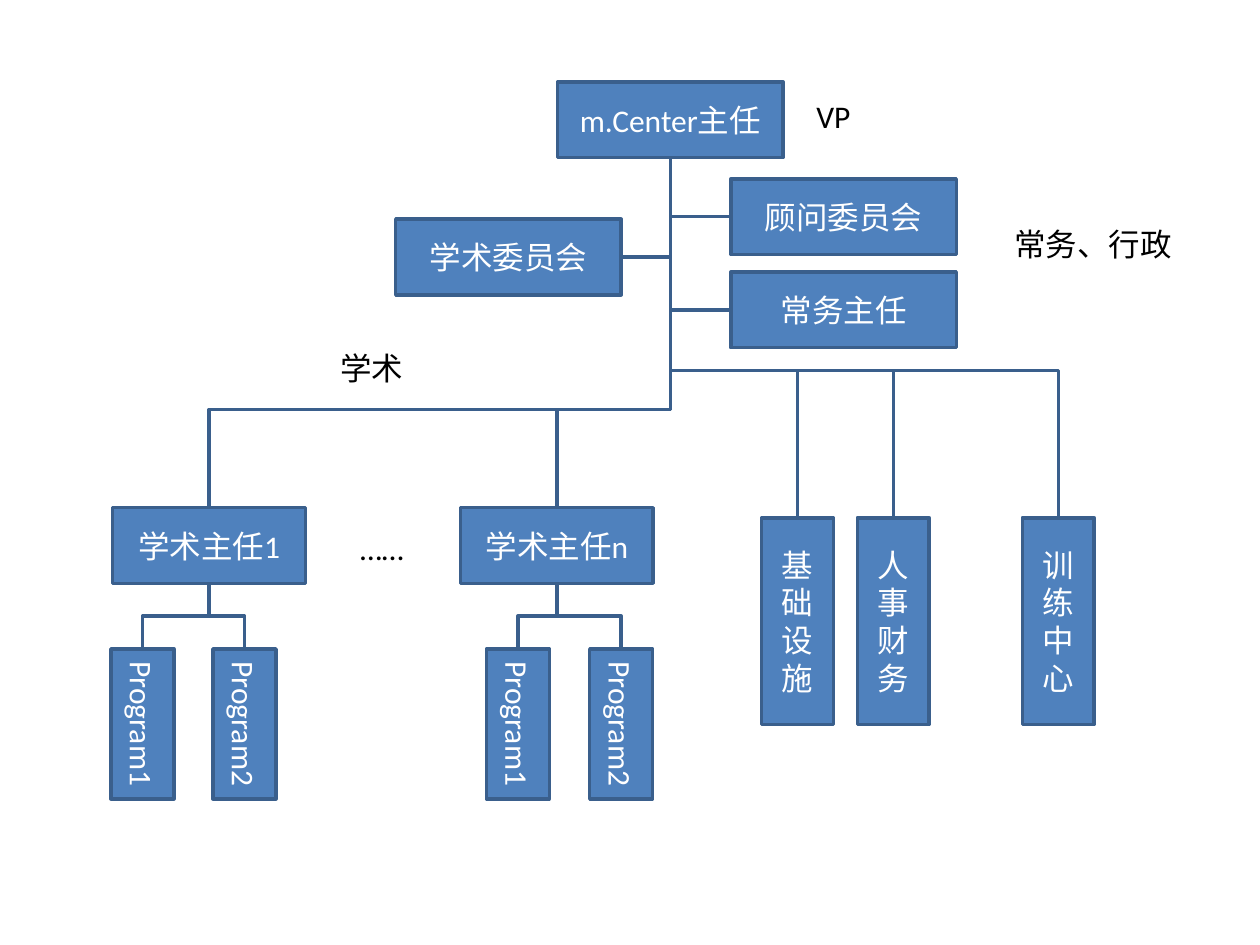
"""Build an organisation chart slide with boxes, labels and elbow connectors."""
import pptx
import pptx.util
import pptx.dml.color
import pptx.enum.shapes
import pptx.enum.text
import pptx.oxml.ns
import lxml.etree

FILL, LINE, WHITE, BLACK = "4F81BD", "3A5F8C", "FFFFFF", "000000"
LATIN, CJK = "Calibri", "Noto Sans CJK SC"
BOX_W, BOX_H, LEAD_W = 1.79, 0.6, 1.53
UNIT_W, UNIT_H, UNIT_TOP = 0.57, 1.64, 4.11
PROG_W, PROG_H, PROG_TOP = 1.19, 0.5, 5.15
TRUNK, TRUNK_TOP, LEAD_TOP = 5.32, 1.24, 4.03
ACADEMIC_BUS, OFFICE_BUS = 3.25, 2.94

HEAD = ("m.Center主任", 0.65)
STAFF = [("顾问委员会", 5.8, 1.42), ("学术委员会", 3.14, 1.74), ("常务主任", 5.8, 2.16)]
LEADS = [
    ("学术主任1", 1.66, [("Program1", 1.13), ("Program2", 1.94)]),
    ("学术主任n", 4.42, [("Program1", 4.11), ("Program2", 4.93)]),
]
UNITS = [("基础设施", 6.33), ("人事财务", 7.09), ("训练中心", 8.4)]
LABELS = [
    ("……", 2.76, 4.15, 0.55, LATIN),
    ("学术", 2.6, 2.72, 0.71, CJK),
    ("常务、行政", 7.95, 1.74, 1.46, CJK),
    ("VP", 6.38, 0.72, 0.48, LATIN),
]

inch = pptx.util.Inches
qn = pptx.oxml.ns.qn
prs = pptx.Presentation()
prs.slide_width, prs.slide_height = inch(10), inch(7.5)
s = prs.slides.add_slide(prs.slide_layouts[6])


def rgb(value):
    return pptx.dml.color.RGBColor.from_string(value)


def write(tf, text, color, font=LATIN):
    tf.text = text
    r = tf.paragraphs[0].runs[0]
    r.font.size, r.font.name = pptx.util.Pt(18), font
    r.font.color.rgb = rgb(color)
    lxml.etree.SubElement(r.font._element, qn("a:ea"), typeface=CJK)


def outline(sp):
    sp.line.color.rgb = rgb(LINE)
    sp.line.width = pptx.util.Pt(2)


def box(text, center, top, width, height=BOX_H, rotation=0):
    sp = s.shapes.add_shape(pptx.enum.shapes.MSO_SHAPE.RECTANGLE,
                            inch(center - width / 2), inch(top), inch(width), inch(height))
    sp.rotation = rotation
    sp.shadow.inherit = False
    sp.fill.solid()
    sp.fill.fore_color.rgb = rgb(FILL)
    outline(sp)
    tf = sp.text_frame
    tf.word_wrap = True
    tf.vertical_anchor = pptx.enum.text.MSO_ANCHOR.MIDDLE
    write(tf, text, WHITE)
    tf.paragraphs[0].alignment = pptx.enum.text.PP_ALIGN.CENTER


def elbow(x1, y1, x2, y2, bus=None):
    """Draw a connector that leaves downwards, turning at bus or at its end."""
    length, span = y2 - y1, abs(x2 - x1)
    left, top = (x1 + x2 - length) / 2, (y1 + y2 - span) / 2
    cx = s.shapes.add_connector(pptx.enum.shapes.MSO_CONNECTOR.ELBOW,
                                inch(left), inch(top), inch(left + length), inch(top + span))
    outline(cx)
    pr = cx._element.spPr
    lxml.etree.SubElement(pr, qn("a:effectLst"))
    xfrm, geom = pr.find(qn("a:xfrm")), pr.find(qn("a:prstGeom"))
    xfrm.set("rot", str((90 if x2 < x1 else 270) * 60000))
    if x2 > x1:
        xfrm.set("flipH", "1")
    if bus is None:
        geom.set("prst", "bentConnector2")
    else:
        share = round((bus - y1) / length * 100000)
        lxml.etree.SubElement(geom.find(qn("a:avLst")), qn("a:gd"),
                              name="adj1", fmla=f"val {share}")


box(HEAD[0], TRUNK, HEAD[1], BOX_W)
for text, left, top in STAFF:
    box(text, left + BOX_W / 2, top, BOX_W)
    elbow(TRUNK, TRUNK_TOP, left if left > TRUNK else left + BOX_W, top + BOX_H / 2)

for text, center, programs in LEADS:
    box(text, center, LEAD_TOP, LEAD_W)
    elbow(TRUNK, TRUNK_TOP, center, LEAD_TOP, ACADEMIC_BUS)
    foot = LEAD_TOP + BOX_H
    for name, x in programs:
        box(name, x, PROG_TOP + (PROG_W - PROG_H) / 2, PROG_W, PROG_H, 90)
        elbow(center, foot, x, PROG_TOP, (foot + PROG_TOP) / 2)

for text, center in UNITS:
    box(text, center, UNIT_TOP, UNIT_W, UNIT_H)
    elbow(TRUNK, TRUNK_TOP, center, UNIT_TOP, OFFICE_BUS)

for text, left, top, width, font in LABELS:
    tf = s.shapes.add_textbox(inch(left), inch(top), inch(width), inch(0.4)).text_frame
    tf.word_wrap = False
    tf.auto_size = pptx.enum.text.MSO_AUTO_SIZE.SHAPE_TO_FIT_TEXT
    write(tf, text, BLACK, font)

prs.save("out.pptx")
